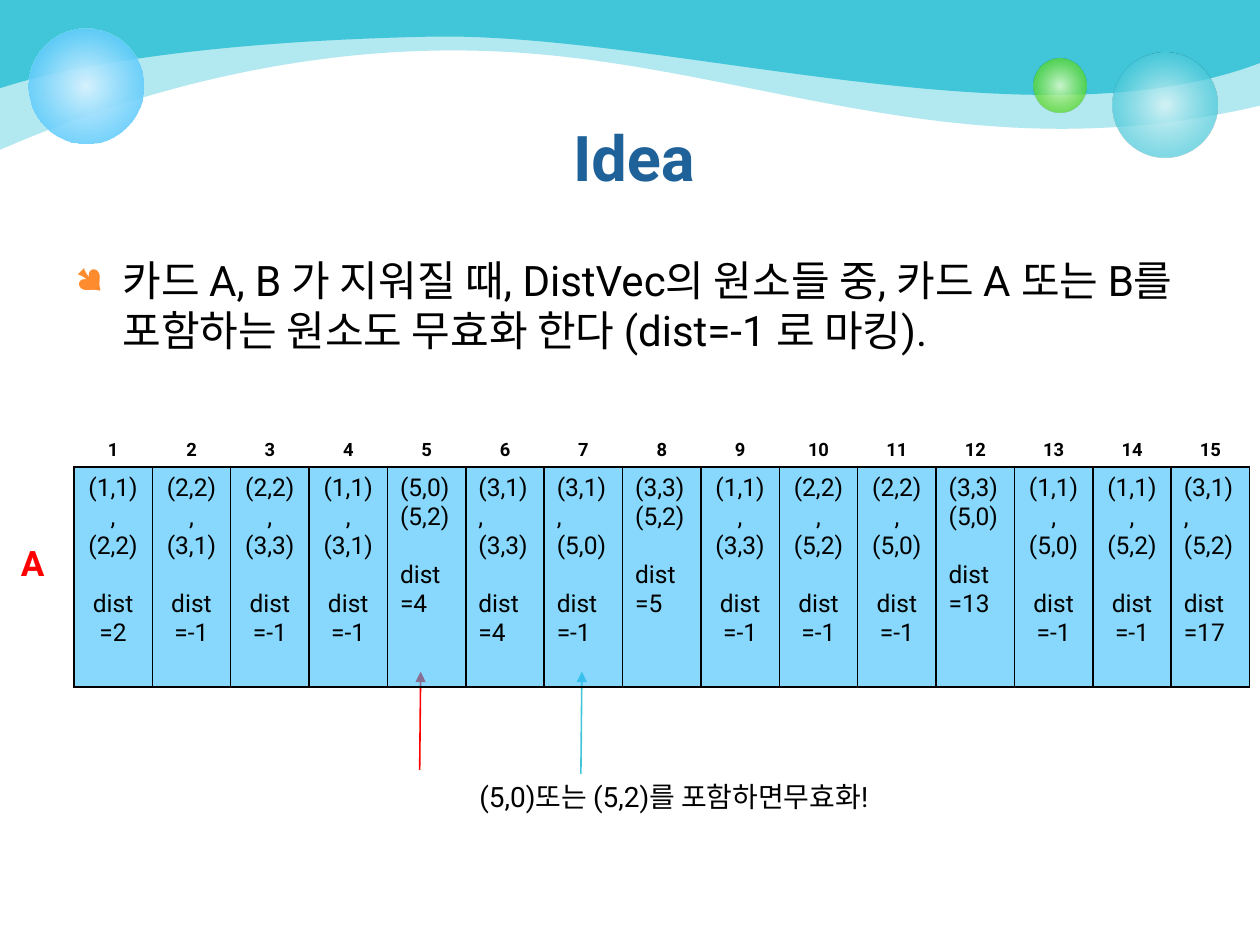
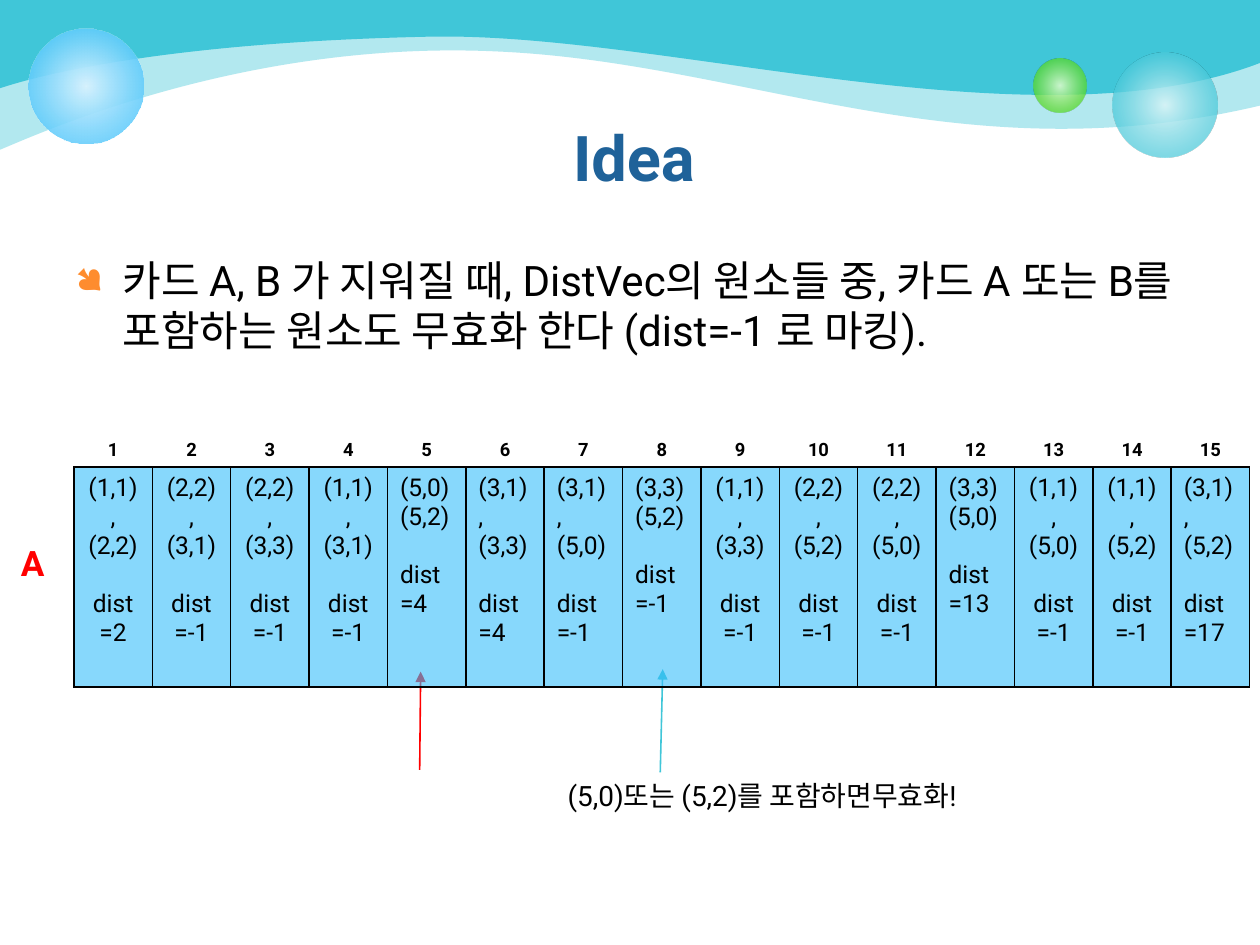
"""Build two slides that mark invalidated elements of the distance vector."""
from lxml.etree import SubElement
from pptx import Presentation
from pptx.dml.color import RGBColor
from pptx.enum.shapes import MSO_CONNECTOR, MSO_SHAPE
from pptx.enum.text import MSO_ANCHOR, PP_ALIGN
from pptx.oxml import parse_xml
from pptx.oxml.ns import nsdecls, qn
from pptx.util import Cm, Pt

FONT = "Roboto"
TEAL = RGBColor(0x40, 0xC6, 0xD8)
GREEN = RGBColor(0x4C, 0xD4, 0x16)
SKY = RGBColor(0x33, 0xBD, 0xFB)
PALE_TEAL = RGBColor(0xD9, 0xF4, 0xF7)
PALE_GREEN = RGBColor(0xDA, 0xFA, 0xCD)
PALE_SKY = RGBColor(0xD6, 0xF2, 0xFE)
NAVY = RGBColor(0x1F, 0x62, 0x99)
ORANGE = RGBColor(0xFE, 0x8C, 0x2E)
RED = RGBColor(0xFF, 0x00, 0x00)
BLACK = RGBColor(0x00, 0x00, 0x00)
WHITE = RGBColor(0xFF, 0xFF, 0xFF)
LEFT, CENTER = PP_ALIGN.LEFT, PP_ALIGN.CENTER

WAVES = [
    (40, [(0, 1.19), (0, 1.85), (0, 3.02),
          (0.84, 2.67), (5, 0.79), (10.06, 1.04),
          (15.11, 1.27), (19.35, 3.56), (25.4, 2.13),
          (25.4, 1.42), (25.4, 0.71), (25.4, 0)]),
    (100, [(0, 0.71), (0, 1.04), (0, 1.78),
           (1.14, 1.4), (3.89, 0.84), (8.66, 0.74),
           (13.41, 0.64), (20.83, 3.02), (25.4, 1.27),
           (25.4, 0.84), (25.4, 0.41), (25.4, 0)]),
]
BUBBLES = [
    (22.43, 1.07, 2.11, PALE_TEAL, 90, TEAL, 76, 70),
    (20.83, 1.19, 1.07, PALE_GREEN, 90, GREEN, 76, 70),
    (0.58, 0.58, 2.31, PALE_SKY, 100, SKY, 100, 80),
]
ELEMENTS = [
    ("(1,1),", "(2,2)", 2), ("(2,2),", "(3,1)", -1), ("(2,2),", "(3,3)", -1),
    ("(1,1),", "(3,1)", -1), ("(5,0)", "(5,2)", 4), ("(3,1),", "(3,3)", 4),
    ("(3,1),", "(5,0)", -1), ("(3,3)", "(5,2)", 5), ("(1,1),", "(3,3)", -1),
    ("(2,2),", "(5,2)", -1), ("(2,2),", "(5,0)", -1), ("(3,3)", "(5,0)", 13),
    ("(1,1),", "(5,0)", -1), ("(1,1),", "(5,2)", -1), ("(3,1),", "(5,2)", 17),
]
LEFT_ALIGNED = {5, 6, 7, 8, 12, 15}
CURSOR = (8.46, 15.52, 8.48, 13.54, RED)
STEPS = [
    (5, (11.71, 15.6, 11.73, 13.54, TEAL), (9.04, 15.6)),
    (-1, (13.31, 15.57, 13.36, 13.49, TEAL), (10.82, 15.57)),
]


def write(p, text, size, color=BLACK, bold=False, align=LEFT):
    p.text = text
    p.alignment = align
    p.font.name = FONT
    p.font.size = Pt(size)
    p.font.bold = bold
    p.font.color.rgb = color


def add_text(s, x, y, w, h, *style):
    tf = s.shapes.add_textbox(Cm(x), Cm(y), Cm(w), Cm(h)).text_frame
    tf.word_wrap = True
    write(tf.paragraphs[0], *style)
    return tf.paragraphs[0]


prs = Presentation()
prs.slide_width, prs.slide_height = Cm(25.4), Cm(19.05)

for dist_8, pointer, note_at in STEPS:
    s = prs.slides.add_slide(prs.slide_layouts[6])

    for alpha, points in WAVES:
        fb = s.shapes.build_freeform(0, 0)
        fb.add_line_segments([(Cm(x), Cm(y)) for x, y in points])
        sp = fb.convert_to_shape()
        sp.shadow.inherit = False
        sp.line.fill.background()
        sp.fill.solid()
        sp.fill.fore_color.rgb = TEAL
        SubElement(sp._element.spPr.find(".//" + qn("a:srgbClr")), qn("a:alpha"),
                   val=str(alpha * 1000))
        outline = sp._element.spPr.find(".//" + qn("a:path"))
        segments = outline.findall(qn("a:lnTo"))[:len(points)]
        for i in range(0, len(segments), 3):
            curve = parse_xml(f'<a:cubicBezTo {nsdecls("a")}/>')
            segments[i].addprevious(curve)
            for segment in segments[i:i + 3]:
                curve.append(segment[0])
                outline.remove(segment)

    for x, y, d, inner, inner_alpha, outer, stop, outer_alpha in BUBBLES:
        sp = s.shapes.add_shape(MSO_SHAPE.OVAL, Cm(x), Cm(y), Cm(d), Cm(d))
        sp.shadow.inherit = False
        sp.line.fill.background()
        stops = "".join(
            f'<a:gs pos="{pos * 1000}"><a:srgbClr val="{color}">'
            f'<a:alpha val="{alpha * 1000}"/></a:srgbClr></a:gs>'
            for pos, color, alpha in ((0, inner, inner_alpha), (stop, outer, outer_alpha)))
        sp._element.spPr.find(qn("a:prstGeom")).addnext(parse_xml(
            f'<a:gradFill {nsdecls("a")}><a:gsLst>{stops}</a:gsLst><a:path path="circle">'
            '<a:fillToRect l="50000" t="50000" r="50000" b="50000"/></a:path></a:gradFill>'))

    add_text(s, 1.35, 2.26, 22.86, 3.18, "Idea", 36, NAVY, True, CENTER)
    p = add_text(s, 1.27, 5, 23.42, 5.97,
                 "카드 A, B 가 지워질 때, DistVec의 원소들 중, 카드 A 또는 B를 포함하는 "
                 "원소도 무효화 한다 (dist=-1 로 마킹).", 24)
    pPr = p._p.pPr
    pPr.set("marL", str(Cm(0.95)))
    pPr.set("indent", str(Cm(-0.95)))
    for i, bullet in enumerate((f'<a:buClr {nsdecls("a")}><a:srgbClr val="{ORANGE}"/></a:buClr>',
                                f'<a:buSzPct {nsdecls("a")} val="85000"/>',
                                f'<a:buFont {nsdecls("a")} typeface="Wingdings" charset="2"/>',
                                f'<a:buChar {nsdecls("a")} char="●"/>')):
        pPr.insert(i, parse_xml(bullet))
    add_text(s, 0.17, 10.79, 1.09, 1.12, "A", 20, RED, True)

    for x1, y1, x2, y2, color in (CURSOR, pointer):
        line = s.shapes.add_connector(MSO_CONNECTOR.STRAIGHT, Cm(x1), Cm(y1), Cm(x2), Cm(y2))
        line.line.color.rgb = color
        line.line.width = Pt(0.9)
        SubElement(line._element.spPr.find(qn("a:ln")), qn("a:tailEnd"), type="triangle")
        SubElement(line._element.spPr, qn("a:effectLst"))
    add_text(s, *note_at, 9.09, 0.94, "(5,0)또는 (5,2)를 포함하면무효화!", 16, BLACK, False, CENTER)

    table = s.shapes.add_table(2, len(ELEMENTS), Cm(1.49), Cm(8.72), Cm(23.7), Cm(5.11)).table
    table.rows[0].height, table.rows[1].height = Cm(0.68), Cm(4.43)
    for n, (first, second, dist) in enumerate(ELEMENTS, 1):
        table.columns[n - 1].width = Cm(1.58)
        head, body = table.cell(0, n - 1), table.cell(1, n - 1)
        head.vertical_anchor = MSO_ANCHOR.BOTTOM
        write(head.text_frame.paragraphs[0], str(n), 10.5, BLACK, True, CENTER)
        align = LEFT if n in LEFT_ALIGNED else CENTER
        tf = body.text_frame
        write(tf.paragraphs[0], first, 14, BLACK, False, align)
        write(tf.add_paragraph(), second, 14, BLACK, False, align)
        p = tf.add_paragraph()
        write(p, f"dist={dist_8 if n == 8 else dist}", 14, BLACK, False, align)
        p.space_before = Pt(16.5)
        for cell, fill, edge in ((head, WHITE, WHITE), (body, SKY, BLACK)):
            cell.fill.solid()
            cell.fill.fore_color.rgb = fill
            tcPr = cell._tc.tcPr
            if cell is body:
                SubElement(tcPr.find(".//" + qn("a:srgbClr")), qn("a:alpha"), val="59000")
            for i, side in enumerate("LRTB"):
                color = BLACK if side == "B" else edge
                tcPr.insert(i, parse_xml(
                    f'<a:ln{side} {nsdecls("a")} w="12700"><a:solidFill>'
                    f'<a:srgbClr val="{color}"/></a:solidFill></a:ln{side}>'))

prs.save("out.pptx")
